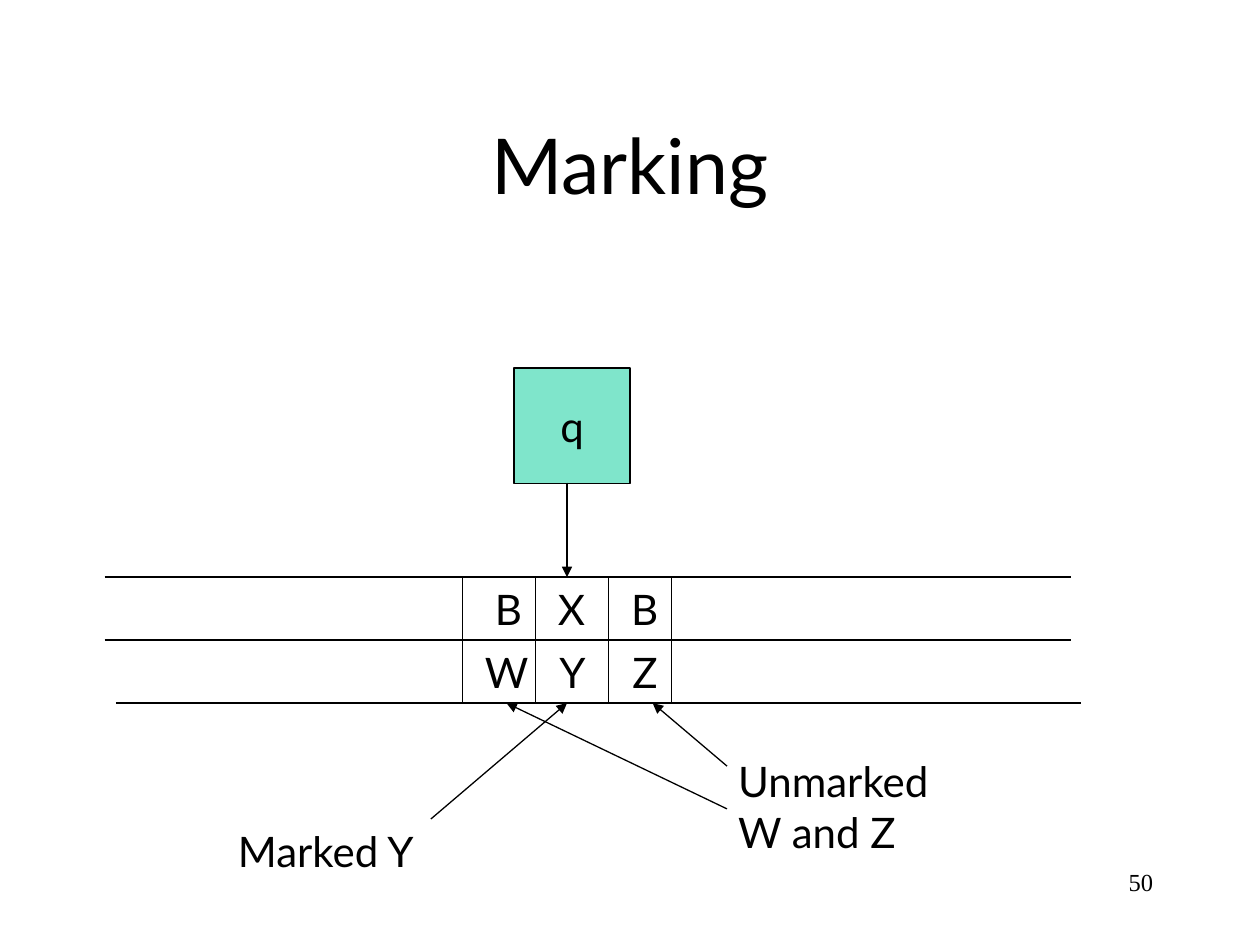
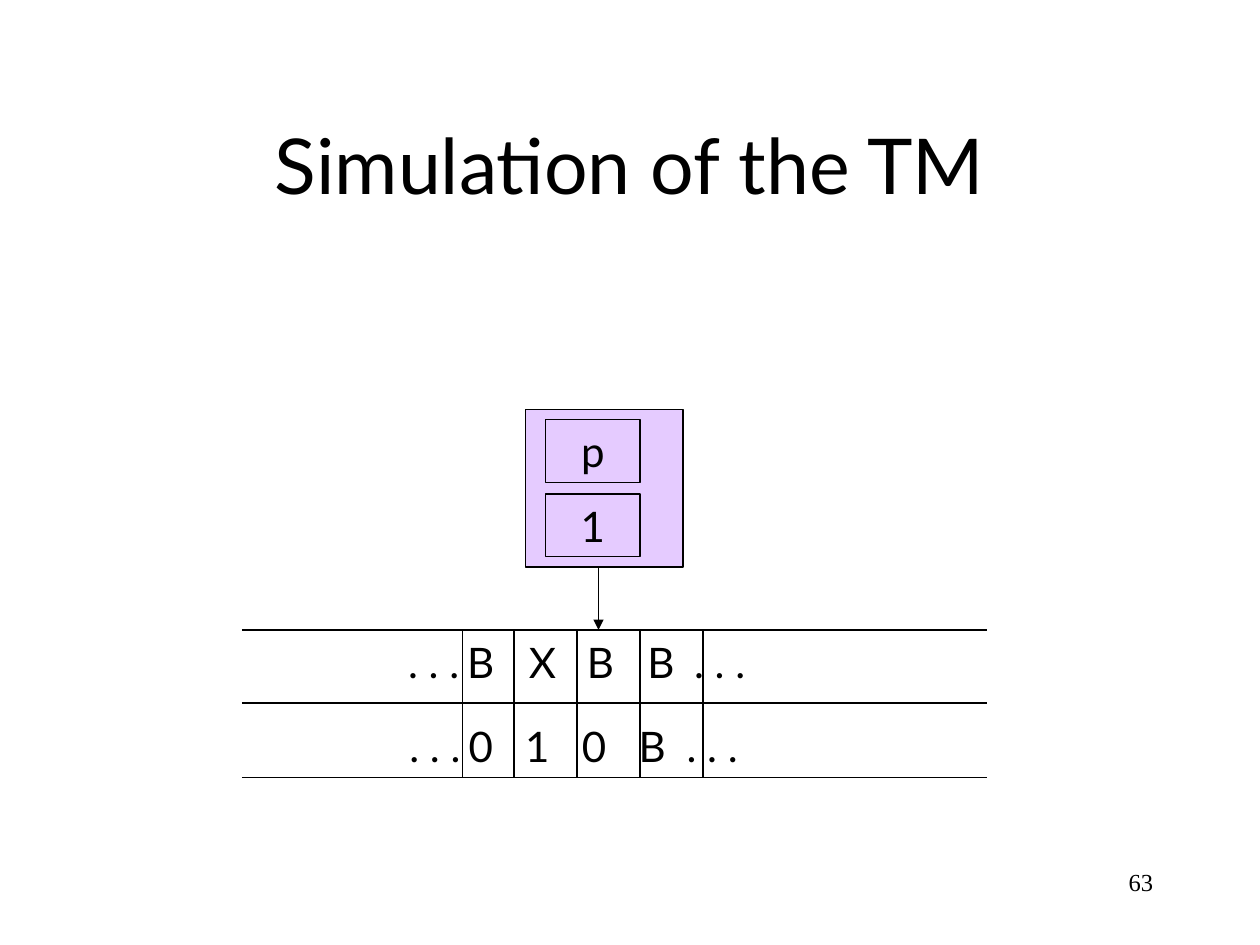
from lxml import etree
from pptx import Presentation
from pptx.dml.color import RGBColor
from pptx.enum import shapes, text
from pptx.oxml import ns
from pptx.util import Inches, Pt

BLACK = RGBColor(0x00, 0x00, 0x00)
GREEN = RGBColor(0x00, 0xCC, 0x99)
LILAC = RGBColor(0xCC, 0x99, 0xFF)
SANS, SERIF = "Lato", "Times New Roman"
LEFT, MID, RIGHT = text.PP_ALIGN.LEFT, text.PP_ALIGN.CENTER, text.PP_ALIGN.RIGHT

MARKING = {
    "title": "Marking",
    "page": "50",
    "rows": [(0.83, 8.5, 4.58), (0.83, 8.5, 5.08), (0.92, 8.58, 5.58)],
    "walls": [3.67, 4.25, 4.83, 5.33],
    "boxes": [((4.08, 2.92, 0.92, 0.92), GREEN, "q")],
    "arrows": [
        (4.5, 3.83, 4.5, 4.58),
        (3.42, 6.5, 4.5, 5.58),
        (5.77, 6.42, 4.02, 5.58),
        (5.77, 6.08, 5.18, 5.58),
    ],
    "labels": [
        ((3.83, 4.58, 0.41, 0.5), ["B"]),
        ((4.33, 4.58, 0.39, 0.5), ["X"]),
        ((4.91, 4.58, 0.41, 0.5), ["B"]),
        ((3.75, 5.08, 0.51, 0.5), ["W"]),
        ((4.34, 5.08, 0.39, 0.5), ["Y"]),
        ((4.92, 5.08, 0.39, 0.5), ["Z"]),
        ((1.79, 6.5, 1.67, 0.5), ["Marked Y"]),
        ((5.76, 5.95, 1.85, 0.9), ["Unmarked", "W and Z"]),
    ],
    "tapes": [],
}

MACHINE = {
    "title": "Simulation of the TM",
    "page": "63",
    "rows": [(1.92, 7.83, y) for y in (5, 5.58, 6.17)],
    "walls": [3.67, 4.08, 4.58, 5.08, 5.58],
    "boxes": [
        ((4.17, 3.25, 1.25, 1.25), LILAC, ""),
        ((4.33, 3.33, 0.75, 0.5), None, "p"),
        ((4.33, 3.92, 0.75, 0.5), None, "1"),
    ],
    "arrows": [(4.75, 4.5, 4.75, 5)],
    "labels": [],
    "tapes": [
        ((3.14, 5, 2.97, 0.5), [". . .", "B", "X", "B", "B", ". . ."],
         [0.47, 0.96, 1.42, 1.9, 2.27]),
        ((3.15, 5.67, 2.91, 0.5), [". . .", "0", "1", "0", "B", ". . ."],
         [0.47, 0.92, 1.37, 1.82, 2.2]),
    ],
}


def write(frame, lines, size=24, font=SANS, align=LEFT, stops=()):
    for i, line in enumerate(lines):
        para = frame.add_paragraph() if i else frame.paragraphs[0]
        para.alignment = align
        if stops:
            tabs = etree.SubElement(para._p.get_or_add_pPr(), ns.qn("a:tabLst"))
            for stop in stops:
                etree.SubElement(tabs, ns.qn("a:tab"), pos=str(Inches(stop)), algn="l")
        run = para.add_run()
        run.text = line
        run.font.size, run.font.name = Pt(size), font
        run.font.color.rgb = BLACK


def label(slide, area, lines, wrap=True, grow=False, **style):
    frame = slide.shapes.add_textbox(*map(Inches, area)).text_frame
    frame.word_wrap = wrap
    if grow:
        frame.auto_size = text.MSO_AUTO_SIZE.SHAPE_TO_FIT_TEXT
    write(frame, lines, **style)
    return frame


def box(slide, area, color, word):
    rect = slide.shapes.add_shape(shapes.MSO_SHAPE.RECTANGLE, *map(Inches, area))
    rect.shadow.inherit = False
    rect.line.color.rgb, rect.line.width = BLACK, Pt(0.75)
    if color is None:
        rect.fill.background()
    else:
        rect.fill.solid()
        rect.fill.fore_color.rgb = color
        tint = rect.fill._xPr.find(".//" + ns.qn("a:srgbClr"))
        etree.SubElement(tint, ns.qn("a:alpha"), val="50000")
    if word:
        frame = rect.text_frame
        frame.word_wrap = False
        frame.vertical_anchor = text.MSO_ANCHOR.MIDDLE
        write(frame, [word], align=MID)


def line(slide, ends, head=False):
    link = slide.shapes.add_connector(
        shapes.MSO_CONNECTOR.STRAIGHT, *map(Inches, ends))
    link.line.color.rgb, link.line.width = BLACK, Pt(0.75)
    if head:
        etree.SubElement(link.line._get_or_add_ln(), ns.qn("a:tailEnd"), type="triangle")
    etree.SubElement(link._element.spPr, ns.qn("a:effectLst"))


def build(deck, data):
    slide = deck.slides.add_slide(deck.slide_layouts[6])
    label(slide, (7.17, 6.83, 2.08, 0.5), [data["page"]],
          size=14, font=SERIF, align=RIGHT)
    title = label(slide, (0.75, 0.67, 8.5, 1.25), [data["title"]], size=44, align=MID)
    title.vertical_anchor = text.MSO_ANCHOR.MIDDLE
    for part in data["boxes"]:
        box(slide, *part)
    for left, right, y in data["rows"]:
        line(slide, (left, y, right, y))
    top, low = data["rows"][0][2], data["rows"][-1][2]
    for x in data["walls"]:
        line(slide, (x, top, x, low))
    for ends in data["arrows"]:
        line(slide, ends, head=True)
    for area, lines in data["labels"]:
        label(slide, area, lines, wrap=False, grow=True)
    for area, cells, stops in data["tapes"]:
        label(slide, area, ["\t".join(cells)], grow=True, stops=stops)


def main():
    deck = Presentation()
    deck.slide_width, deck.slide_height = Inches(10), Inches(7.5)
    for data in (MARKING, MACHINE):
        build(deck, data)
    deck.save("out.pptx")


if __name__ == "__main__":
    main()
